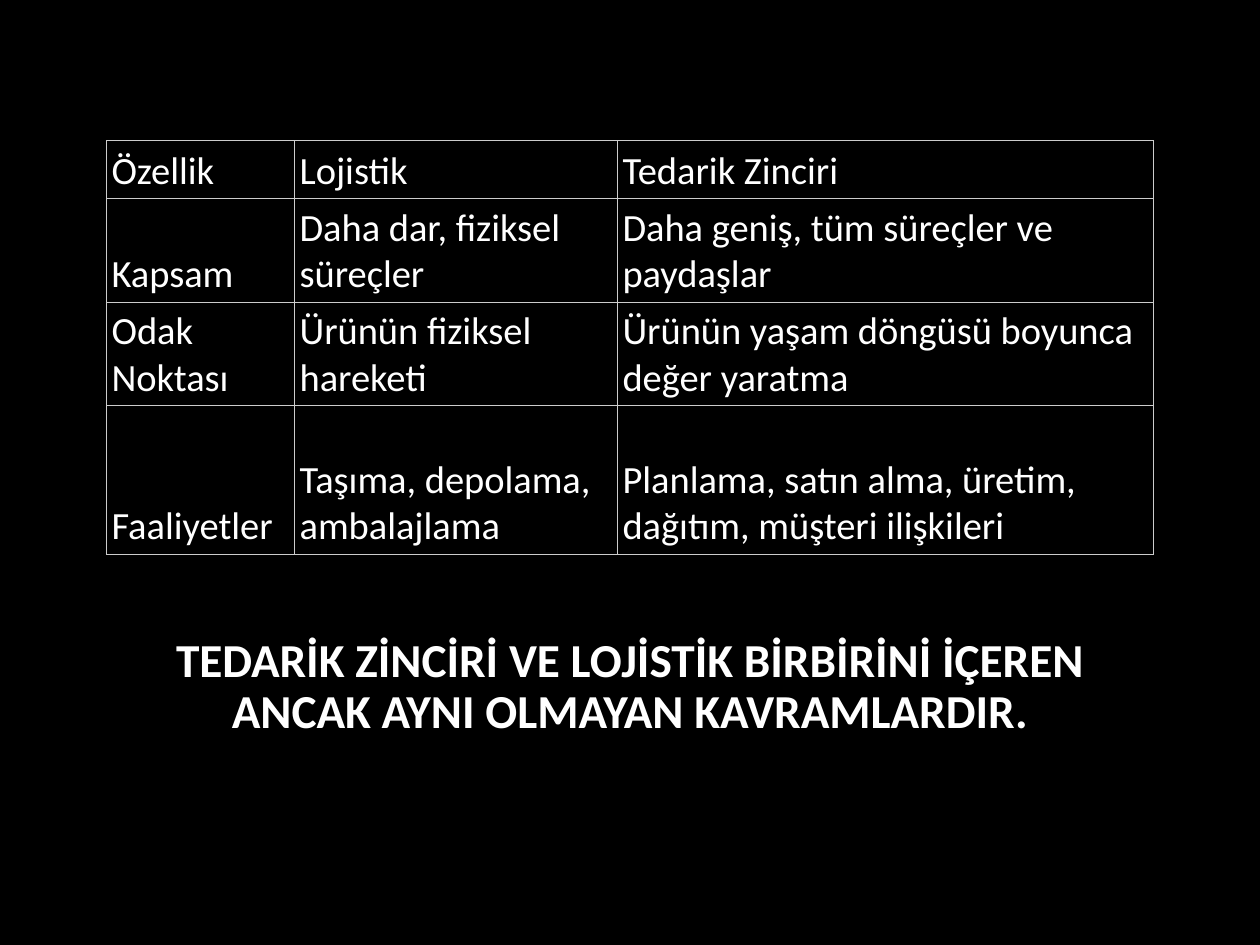
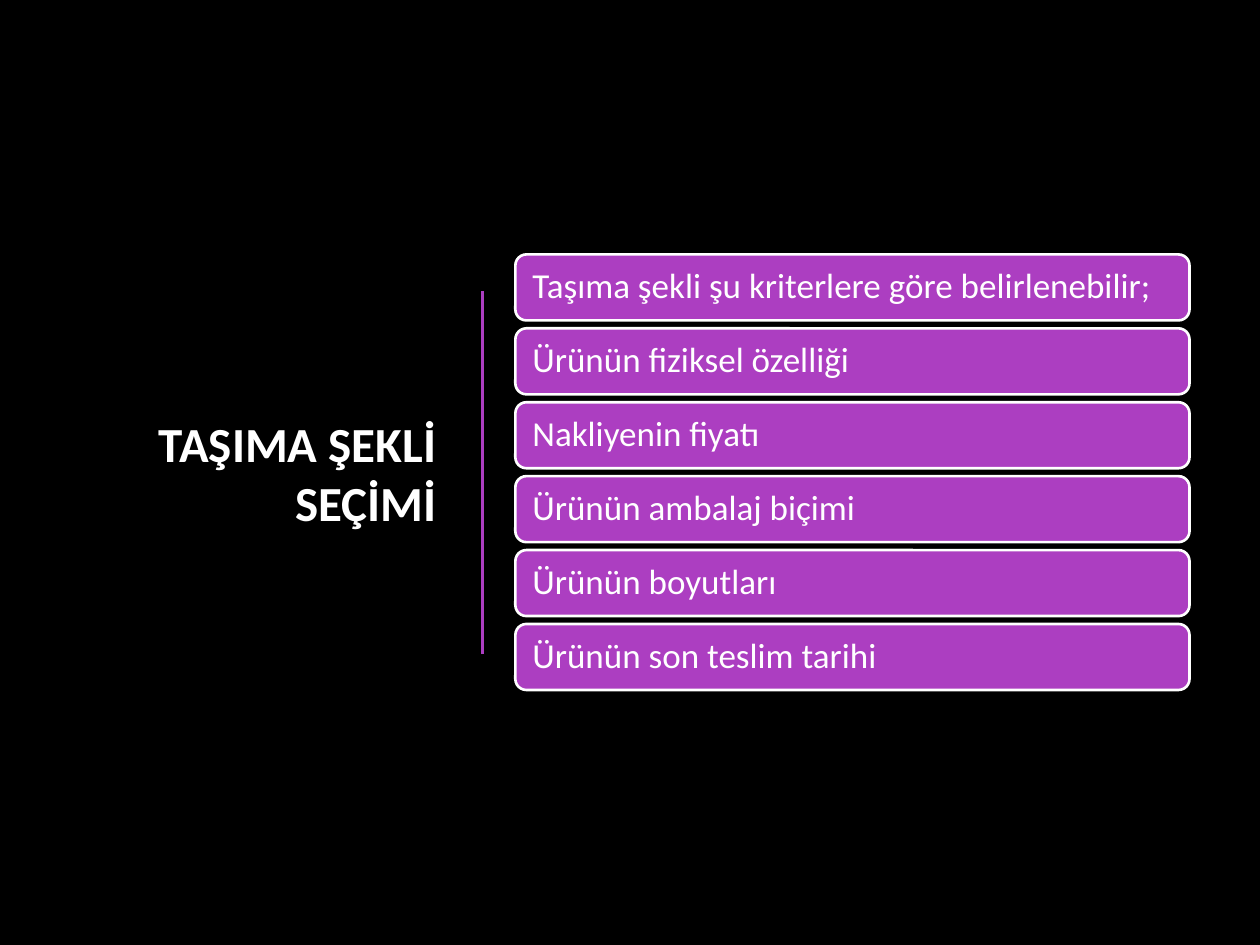
from lxml.etree import SubElement
from pptx import Presentation
from pptx.dml.color import RGBColor
from pptx.enum.shapes import MSO_CONNECTOR as Connector, MSO_SHAPE as Shape
from pptx.enum.text import MSO_ANCHOR as Anchor, PP_ALIGN as Align
from pptx.oxml.ns import qn
from pptx.util import Cm, Pt

COLORS = {
    name: RGBColor.from_string(value)
    for name, value in {
        "background": "000000",
        "text": "FFFFFF",
        "accent": "AC3EC1",
        "grid": "CCCCCC",
    }.items()
}
FONT = "Calibri"


def write(frame, text, size, bold=False, align=Align.LEFT, anchor=Anchor.MIDDLE,
          line_spacing=1.0):
    """Fill a text frame with one formatted paragraph."""
    frame.word_wrap = True
    frame.vertical_anchor = anchor
    para = frame.paragraphs[0]
    para.alignment = align
    para.line_spacing = line_spacing
    span = para.add_run()
    span.text = text
    span.font.name = FONT
    span.font.size = Pt(size)
    span.font.bold = bold
    span.font.color.rgb = COLORS["text"]


def add_cell_borders(cell):
    properties = cell._tc.get_or_add_tcPr()
    for side in ("a:lnL", "a:lnR", "a:lnT", "a:lnB"):
        line = SubElement(properties, qn(side), w=str(Pt(0.75)))
        fill = SubElement(line, qn("a:solidFill"))
        SubElement(fill, qn("a:srgbClr"), val=str(COLORS["grid"]))


deck = Presentation()
deck.slide_width = Cm(25.4)
deck.slide_height = Cm(19.05)
pages = [deck.slides.add_slide(deck.slide_layouts[6]) for _ in range(2)]
for page in pages:
    page.background.fill.solid()
    page.background.fill.fore_color.rgb = COLORS["background"]
comparison_page, criteria_page = pages

# Logistics compared with the supply chain
comparison = [
    ("Özellik", "Lojistik", "Tedarik Zinciri"),
    ("Kapsam", "Daha dar, fiziksel süreçler",
     "Daha geniş, tüm süreçler ve paydaşlar"),
    ("Odak Noktası", "Ürünün fiziksel hareketi",
     "Ürünün yaşam döngüsü boyunca değer yaratma"),
    ("Faaliyetler", "Taşıma, depolama, ambalajlama",
     "Planlama, satın alma, üretim, dağıtım, müşteri ilişkileri"),
]
column_widths = [3.79, 6.51, 10.81]
row_heights = [1.17, 2.08, 2.08, 3]
table = comparison_page.shapes.add_table(
    len(row_heights), len(column_widths), Cm(2.15), Cm(2.84),
    Cm(sum(column_widths)), Cm(sum(row_heights))).table
table.horz_banding = False
for column, width in zip(table.columns, column_widths):
    column.width = Cm(width)
for row, height, texts in zip(table.rows, row_heights, comparison):
    row.height = Cm(height)
    for cell, text in zip(row.cells, texts):
        cell.margin_left = cell.margin_right = Cm(0.1)
        cell.margin_top = cell.margin_bottom = Cm(0.08)
        add_cell_borders(cell)
        cell.fill.solid()
        cell.fill.fore_color.rgb = COLORS["background"]
        write(cell.text_frame, text, 22)
        cell.vertical_anchor = Anchor.BOTTOM

conclusion = comparison_page.shapes.add_textbox(Cm(2.15), Cm(12.7), Cm(21.1), Cm(3.38))
conclusion.text_frame.margin_bottom = Cm(1.17)
write(conclusion.text_frame,
      "TEDARİK ZİNCİRİ VE LOJİSTİK BİRBİRİNİ İÇEREN ANCAK AYNI OLMAYAN KAVRAMLARDIR.",
      27, bold=True, align=Align.CENTER, line_spacing=0.9)

# Criteria for choosing the mode of transport
title = criteria_page.shapes.add_textbox(Cm(1.42), Cm(4.78), Cm(7.62), Cm(9.5))
write(title.text_frame, "TAŞIMA ŞEKLİ SEÇİMİ", 28, bold=True, align=Align.RIGHT)

divider = criteria_page.shapes.add_connector(
    Connector.STRAIGHT, Cm(9.73), Cm(5.87), Cm(9.73), Cm(13.18))
divider.line.color.rgb = COLORS["accent"]
divider.line.width = Pt(1.5)
SubElement(divider._element.spPr, qn("a:effectLst"))

criteria = [
    "Taşıma şekli şu kriterlere göre belirlenebilir;",
    "Ürünün fiziksel özelliği",
    "Nakliyenin fiyatı",
    "Ürünün ambalaj biçimi",
    "Ürünün boyutları",
    "Ürünün son teslim tarihi",
]
bar_top, bar_step = 5.13, 1.49
for index, criterion in enumerate(criteria):
    bar = criteria_page.shapes.add_shape(
        Shape.ROUNDED_RECTANGLE, Cm(10.39), Cm(bar_top + index * bar_step),
        Cm(13.59), Cm(1.33))
    bar.shadow.inherit = False
    bar.fill.solid()
    bar.fill.fore_color.rgb = COLORS["accent"]
    bar.line.color.rgb = COLORS["text"]
    bar.line.width = Pt(1.5)
    bar.text_frame.margin_left = bar.text_frame.margin_right = Cm(0.28)
    write(bar.text_frame, criterion, 20, line_spacing=0.9)

deck.save("out.pptx")
